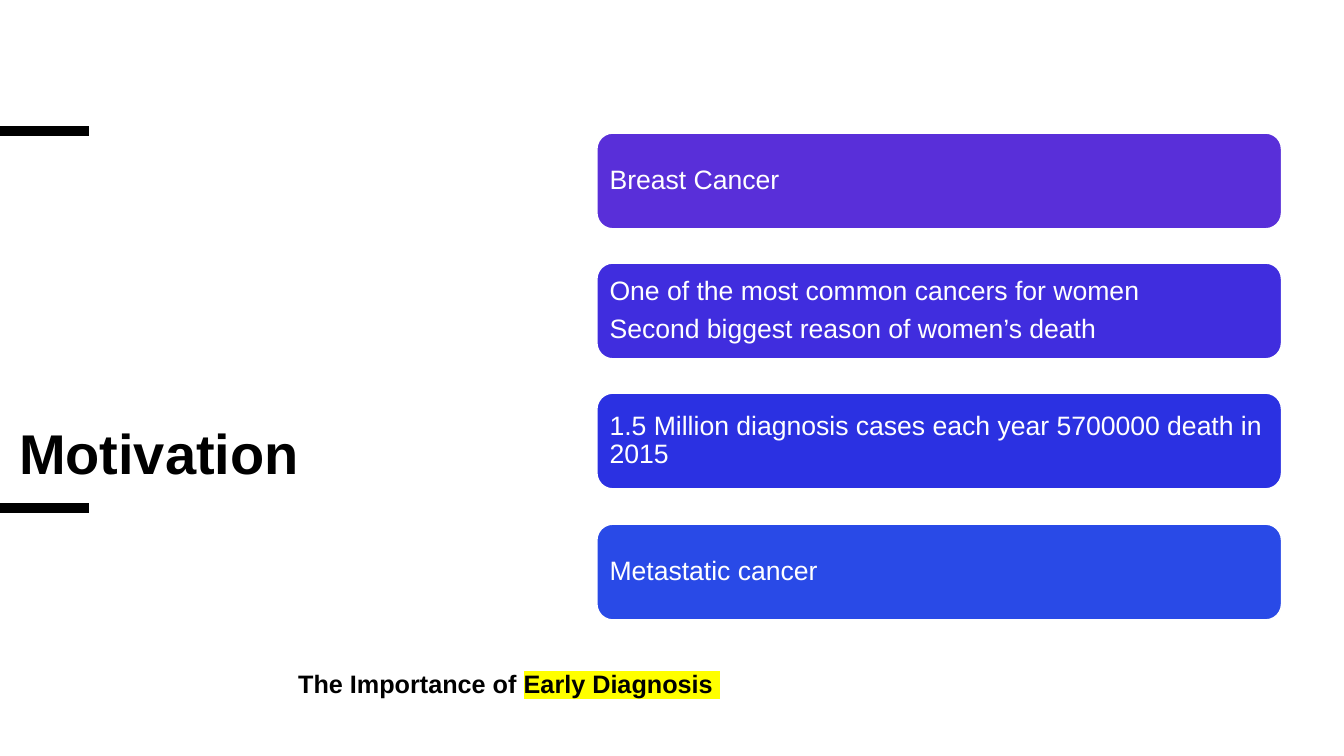
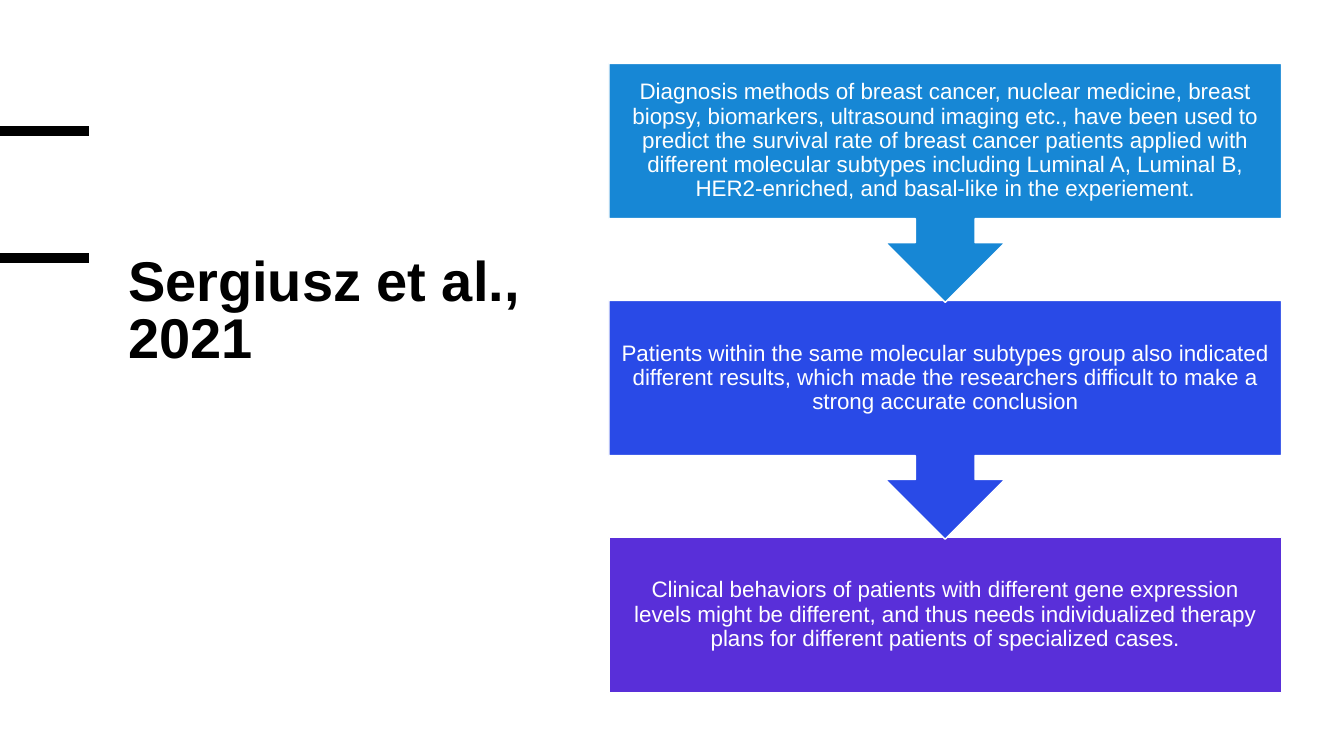
"""Build two slides: the motivation cards and the flow of a cited study."""
from dataclasses import dataclass

from lxml import etree
from pptx import Presentation
from pptx.dml.color import RGBColor
from pptx.enum.shapes import MSO_CONNECTOR, MSO_SHAPE
from pptx.enum.text import MSO_ANCHOR, PP_ALIGN
from pptx.oxml.ns import qn
from pptx.shapes.base import BaseShape
from pptx.slide import Slide
from pptx.util import Emu, Pt

EMU_PER_PX = 9144
FONT = "Arial"
BLACK, WHITE, YELLOW = "000000", "FFFFFF", "FFFF00"
VIOLET, ROYAL = "592FD9", "294AE7"


@dataclass(frozen=True)
class Box:
    left: int
    top: int
    width: int
    height: int


@dataclass(frozen=True)
class Panel:
    fill: str
    lines: tuple[str, ...]


CARDS = (
    Panel(VIOLET, ("Breast Cancer",)),
    Panel("402DDE", ("One of the most common cancers for women",
                     "Second biggest reason of women’s death")),
    Panel("2B31E2", ("1.5 Million diagnosis cases each year 5700000 death in 2015",)),
    Panel(ROYAL, ("Metastatic cancer",)),
)
STEPS = (
    Panel("1787D5", (
        "Diagnosis methods of breast cancer, nuclear medicine, breast biopsy, "
        "biomarkers, ultrasound imaging etc., have been used to predict the "
        "survival rate of breast cancer patients applied with different molecular "
        "subtypes including Luminal A, Luminal B, HER2-enriched, and basal-like "
        "in the experiement.",)),
    Panel(ROYAL, (
        "Patients within the same molecular subtypes group also indicated "
        "different results, which made the researchers difficult to make a "
        "strong accurate conclusion",)),
    Panel(VIOLET, (
        "Clinical behaviors of patients with different gene expression levels "
        "might be different, and thus needs individualized therapy plans for "
        "different patients of specialized cases.",)),
)


def px(length: int) -> Emu:
    return Emu(length * EMU_PER_PX)


def color(value: str) -> RGBColor:
    return RGBColor.from_string(value)


def place(box: Box) -> tuple[Emu, Emu, Emu, Emu]:
    return px(box.left), px(box.top), px(box.width), px(box.height)


def write(shape: BaseShape, lines: tuple[str, ...], *, size: int, ink: str = BLACK,
          bold: bool = False, align: PP_ALIGN = PP_ALIGN.LEFT,
          anchor: MSO_ANCHOR = MSO_ANCHOR.TOP, inset: tuple[int, int] = (10, 5),
          spacing: float = 1.0, after: int = 0, marked: str = "") -> None:
    frame = shape.text_frame
    frame.word_wrap = True
    frame.vertical_anchor = anchor
    frame.margin_left = frame.margin_right = px(inset[0])
    frame.margin_top = frame.margin_bottom = px(inset[1])
    for index, line in enumerate(lines):
        paragraph = frame.add_paragraph() if index else frame.paragraphs[0]
        paragraph.alignment = align
        paragraph.line_spacing = spacing
        paragraph.space_after = Pt(after)
        for words in filter(None, (line, marked)):
            run = paragraph.add_run()
            run.text = words
            run.font.size, run.font.bold, run.font.name = Pt(size), bold, FONT
            run.font.color.rgb = color(ink)
            if words == marked:
                highlight = etree.Element(qn("a:highlight"))
                etree.SubElement(highlight, qn("a:srgbClr"), val=YELLOW)
                run.font._element.find(qn("a:solidFill")).addnext(highlight)


def add_panel(slide: Slide, kind: MSO_SHAPE, box: Box, fill: str) -> BaseShape:
    panel = slide.shapes.add_shape(kind, *place(box))
    panel.shadow.inherit = False
    panel.fill.solid()
    panel.fill.fore_color.rgb = color(fill)
    panel.line.color.rgb = color(WHITE)
    panel.line.width = Pt(1)
    return panel


def add_bar(slide: Slide, top: int, weight: float = 6.75) -> None:
    bar = slide.shapes.add_connector(
        MSO_CONNECTOR.STRAIGHT, px(0), px(top), px(88), px(top))
    bar.line.color.rgb = color(BLACK)
    bar.line.width = Pt(weight)
    etree.SubElement(bar._element.spPr, qn("a:effectLst"))


def add_titled_slide(deck: Presentation, title: str, box: Box) -> Slide:
    slide = deck.slides.add_slide(deck.slide_layouts[6])
    add_bar(slide, 130)
    heading = slide.shapes.add_textbox(*place(box))
    write(heading, (title,), size=40, bold=True, inset=(8, 10), spacing=0.85)
    return slide


def build_motivation(deck: Presentation) -> None:
    slide = add_titled_slide(deck, "Motivation", Box(11, 415, 414, 196))
    add_bar(slide, 504, 6.5)
    for index, card in enumerate(CARDS):
        box = Box(592, 132 + index * 388 // 3, 679, 95)
        panel = add_panel(slide, MSO_SHAPE.ROUNDED_RECTANGLE, box, card.fill)
        write(panel, card.lines, size=19, ink=WHITE, anchor=MSO_ANCHOR.MIDDLE,
              inset=(8, 8), spacing=0.9, after=7)
    takeaway = slide.shapes.add_textbox(*place(Box(286, 658, 673, 42)))
    write(takeaway, ("The Importance of ",), size=18, bold=True,
          marked="Early Diagnosis ")


def build_study(deck: Presentation) -> None:
    slide = add_titled_slide(deck, "Sergiusz et al., 2021", Box(119, 244, 416, 367))
    add_bar(slide, 256)
    last = len(STEPS) - 1
    for index, step in reversed(list(enumerate(STEPS))):
        kind, height = ((MSO_SHAPE.RECTANGLE, 154) if index == last
                        else (MSO_SHAPE.DOWN_ARROW_CALLOUT, 237))
        box = Box(604, 63 + index * 235, 667, height)
        panel = add_panel(slide, kind, box, step.fill)
        write(panel, step.lines, size=16, ink=WHITE, align=PP_ALIGN.CENTER,
              anchor=MSO_ANCHOR.MIDDLE, inset=(12, 12), spacing=0.9, after=6)


def main() -> None:
    deck = Presentation()
    deck.slide_width, deck.slide_height = px(1333), px(750)
    build_motivation(deck)
    build_study(deck)
    deck.save("out.pptx")


if __name__ == "__main__":
    main()
